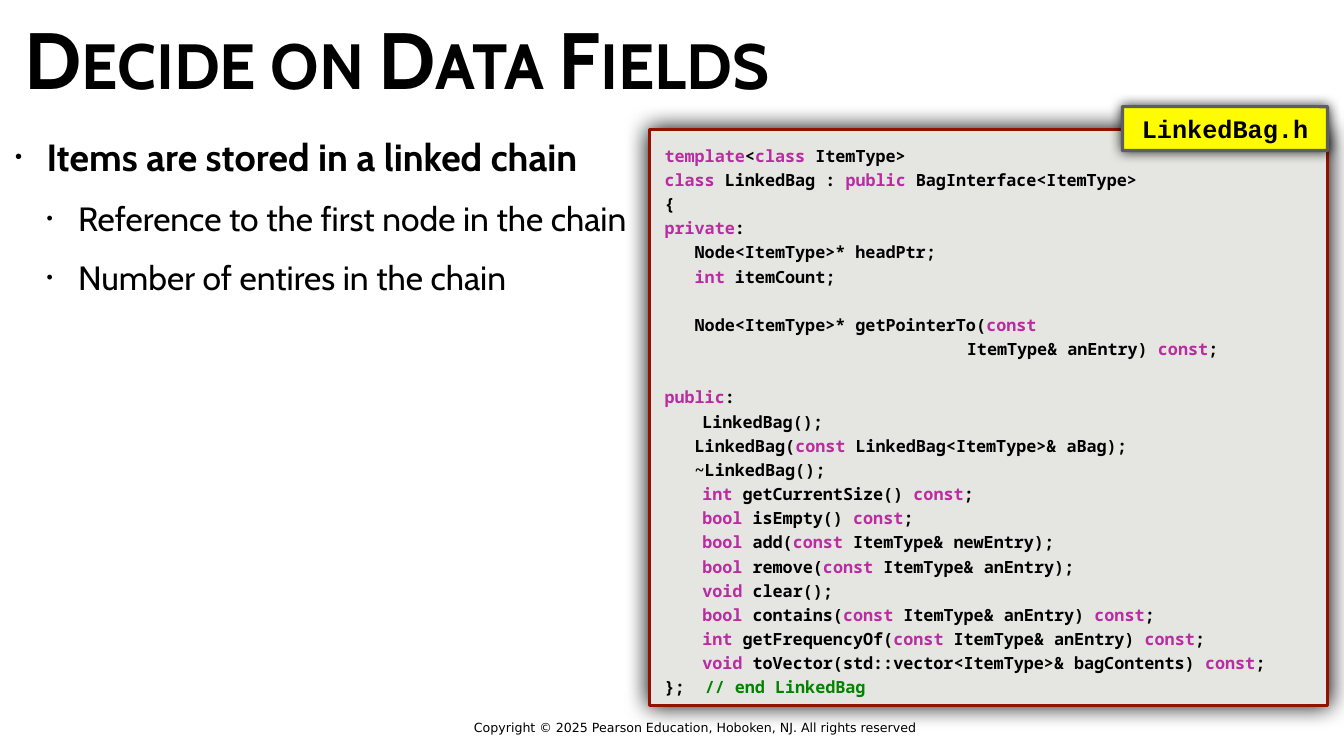
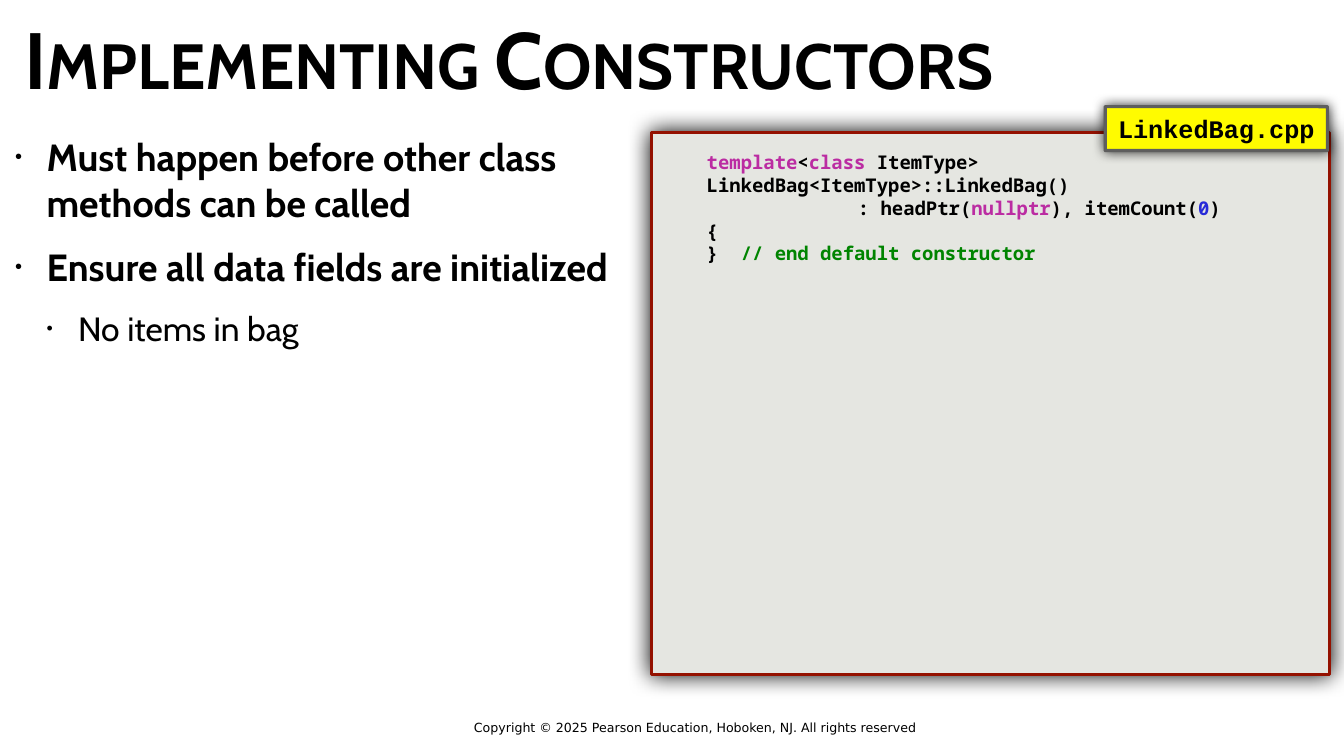
import dataclasses
import itertools

import lxml.etree
import pptx
import pptx.dml.color
import pptx.enum.shapes
import pptx.enum.text
import pptx.oxml.ns
import pptx.util

Pt = pptx.util.Pt
Inches = pptx.util.Inches
Shape = pptx.enum.shapes.MSO_SHAPE
Align = pptx.enum.text.PP_ALIGN
Anchor = pptx.enum.text.MSO_ANCHOR
Fit = pptx.enum.text.MSO_AUTO_SIZE


@dataclasses.dataclass(frozen=True)
class Theme:
    ink: str = "000000"
    key: str = "BB2CA2"
    digit: str = "272AD8"
    note: str = "008400"
    panel: str = "E5E6E1"
    frame: str = "941100"
    tag: str = "FFFB00"
    edge: str = "5E5E5E"
    sans: str = "Cabin"
    mono: str = "Noto Sans Mono"
    label: str = "Courier New"
    small: str = "DejaVu Sans"
    title_size: int = 76
    list_sizes: tuple = (36, 32)
    label_size: int = 24
    foot_size: int = 12
    code_gap: int = 23


WORDS = set("template class public private int const bool void nullptr".split())
FOOTER = "Copyright © 2025 Pearson Education, Hoboken, NJ. All rights reserved"
COLS, ROWS = 64, 36
WIDTH, HEIGHT = Inches(17.78), Inches(10)
RIGHT = 63.21

HEADER = """template<class ItemType>
class LinkedBag : public BagInterface<ItemType>
{
private:
   Node<ItemType>* headPtr;
   int itemCount;

   Node<ItemType>* getPointerTo(const
\t\t\t\t\t\t\t\tItemType& anEntry) const;

public:
\tLinkedBag();
   LinkedBag(const LinkedBag<ItemType>& aBag);
   ~LinkedBag();
\tint getCurrentSize() const;
\tbool isEmpty() const;
\tbool add(const ItemType& newEntry);
\tbool remove(const ItemType& anEntry);
\tvoid clear();
\tbool contains(const ItemType& anEntry) const;
\tint getFrequencyOf(const ItemType& anEntry) const;
\tvoid toVector(std::vector<ItemType>& bagContents) const;
};  // end LinkedBag"""

SOURCE = """template<class ItemType>
LinkedBag<ItemType>::LinkedBag()
\t\t\t\t: headPtr(nullptr), itemCount(0)
{
}  // end default constructor"""


class Deck:
    def __init__(self, theme):
        self.theme = theme
        self.show = pptx.Presentation()
        self.show.slide_width, self.show.slide_height = WIDTH, HEIGHT
        self.slide = None

    def across(self, cols):
        return round(WIDTH * cols / COLS)

    def place(self, left, top, width, height):
        down = HEIGHT / ROWS
        return (self.across(left), round(down * top),
                self.across(width), round(down * height))

    def frame(self, shape, anchor=Anchor.TOP, side=0.06, edge=0.06):
        frame = shape.text_frame
        frame.word_wrap = True
        frame.auto_size = Fit.NONE
        frame.vertical_anchor = anchor
        frame.margin_left = frame.margin_right = Inches(side)
        frame.margin_top = frame.margin_bottom = Inches(edge)
        return frame

    def style(self, run, face, size, color=None, bold=True):
        font = run.font
        font.name, font.size, font.bold = face, Pt(size), bold
        font.color.rgb = pptx.dml.color.RGBColor.from_string(color or self.theme.ink)

    def indent(self, para, left, first=0):
        props = para._p.get_or_add_pPr()
        props.set("marL", str(self.across(left)))
        props.set("indent", str(self.across(first)))
        return props

    def start(self, title):
        self.slide = self.show.slides.add_slide(self.show.slide_layouts[1])
        self.footer()
        self.title(title)

    def footer(self):
        box = self.slide.shapes.add_textbox(*self.place(22.57, 34.2, 24.37, 0.86))
        frame = self.frame(box, Anchor.MIDDLE, 0, 0.02)
        frame.text = FOOTER
        self.style(frame.paragraphs[0].runs[0], self.theme.small,
                   self.theme.foot_size, bold=False)

    def title(self, text):
        shape = self.slide.shapes.title
        shape.left, shape.top, shape.width, shape.height = self.place(0.94, 0, 57.63, 5.51)
        frame = self.frame(shape, Anchor.MIDDLE)
        frame.text = text
        para = frame.paragraphs[0]
        para.alignment = Align.LEFT
        run = para.runs[0]
        self.style(run, self.theme.sans, self.theme.title_size)
        run._r.get_or_add_rPr().set("cap", "small")

    def points(self, items):
        shape = self.slide.placeholders[1]
        shape.left, shape.top, shape.width, shape.height = self.place(0.5, 6.16, 31.5, 29.7)
        frame = self.frame(shape)
        frame.text = "\n".join(text for level, text in items)
        for spot, (para, (level, text)) in enumerate(zip(frame.paragraphs, items)):
            para.level = level
            props = self.indent(para, 1.5 * (level + 1), -1.5)
            for tag, name, value in (("a:buSzPct", "val", "53000"),
                                     ("a:buChar", "char", "•")):
                mark = lxml.etree.SubElement(props, pptx.oxml.ns.qn(tag))
                mark.set(name, value)
            para.space_before = Pt(18 if spot else 0)
            self.style(para.runs[0], self.theme.sans,
                       self.theme.list_sizes[level], bold=level == 0)

    def block(self, kind, spot, fill, line, blur, alpha):
        shape = self.slide.shapes.add_shape(kind, *self.place(*spot))
        shape.fill.solid()
        shape.fill.fore_color.rgb = pptx.dml.color.RGBColor.from_string(fill)
        shape.line.color.rgb = pptx.dml.color.RGBColor.from_string(line)
        shape.line.width = Pt(3)
        shape.shadow.inherit = False
        qn = pptx.oxml.ns.qn
        effects = shape._element.spPr.find(qn("a:effectLst"))
        glow = lxml.etree.SubElement(effects, qn("a:outerShdw"),
                                     blurRad=str(Pt(blur)), dist="0", rotWithShape="0")
        tint = lxml.etree.SubElement(glow, qn("a:srgbClr"), val=self.theme.ink)
        lxml.etree.SubElement(tint, qn("a:alpha"), val=str(alpha * 1000))
        return shape

    def panel(self, left, top, height):
        self.block(Shape.RECTANGLE, (left, top, 32.29, height),
                   self.theme.panel, self.theme.frame, 22, 100)

    def label(self, text, width):
        shape = self.block(Shape.ROUNDED_RECTANGLE, (RIGHT - width, 5.08, width, 2.09),
                           self.theme.tag, self.theme.edge, 12, 82)
        shape.adjustments[0] = 0.01
        frame = self.frame(shape, Anchor.MIDDLE)
        frame.text = text
        para = frame.paragraphs[0]
        para.alignment = Align.CENTER
        self.style(para.runs[0], self.theme.label, self.theme.label_size)

    def hue(self, word):
        if word in WORDS:
            return self.theme.key
        return self.theme.digit if word.isdigit() else self.theme.ink

    def pieces(self, line):
        code, slash, note = line.partition("//")
        words = ["".join(group) for _, group in itertools.groupby(code, str.isalnum)]
        for color, group in itertools.groupby(words, self.hue):
            yield "".join(group), color
        if slash:
            yield slash + note, self.theme.note

    def code(self, text, spot, size, pitch):
        frame = self.frame(self.slide.shapes.add_textbox(*self.place(*spot)))
        para, gap = frame.paragraphs[0], 0
        for count, line in enumerate(text.split("\n")):
            if not line:
                gap = self.theme.code_gap
                continue
            if count:
                para = frame.add_paragraph()
            bare = line.lstrip("\t")
            self.indent(para, 1.8 * (len(line) - len(bare)))
            para.line_spacing = pitch
            para.space_before = Pt(gap)
            gap = 0
            for part, color in self.pieces(bare):
                run = para.add_run()
                run.text = part
                self.style(run, self.theme.mono, size, color)


def main():
    deck = Deck(Theme())

    deck.start("Decide on Data Fields")
    deck.panel(30.92, 6.16, 27.43)
    deck.points([(0, "Items are stored in a linked chain"),
                 (1, "Reference to the first node in the chain"),
                 (1, "Number of entires in the chain")])
    deck.code(HEADER, (31.43, 6.52, 31.7, 27.07), 16, 1.2)
    deck.label("LinkedBag.h", 9.76)

    deck.start("Implementing Constructors")
    deck.panel(31.03, 6.3, 25.81)
    deck.points([(0, "Must happen before other class methods can be called"),
                 (0, "Ensure all data fields are initialized"),
                 (1, "No items in bag")])
    deck.code(SOURCE, (33.44, 6.98, 29.84, 5.65), 18, 1.0)
    deck.label("LinkedBag.cpp", 10.58)

    deck.show.save("out.pptx")


if __name__ == "__main__":
    main()
